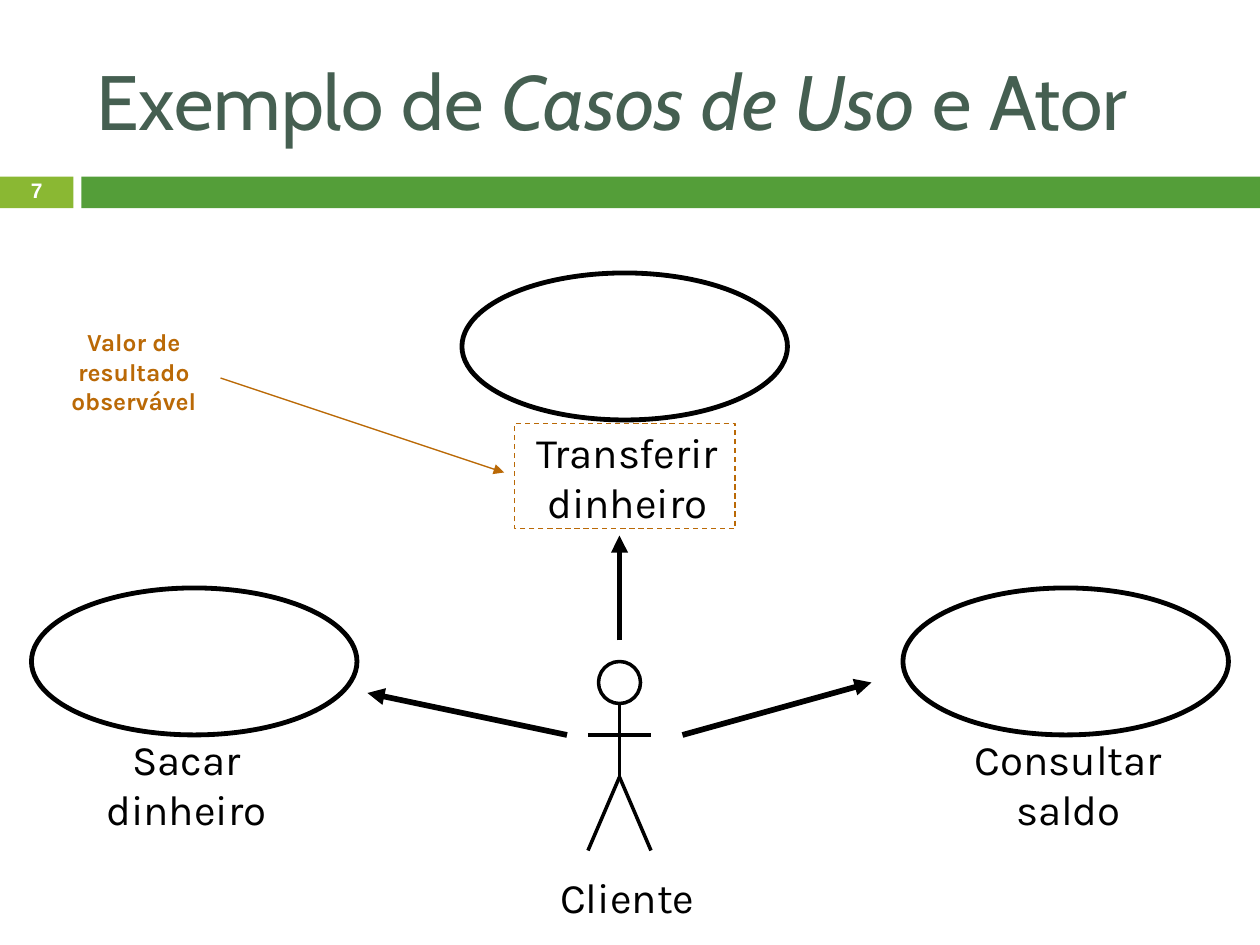
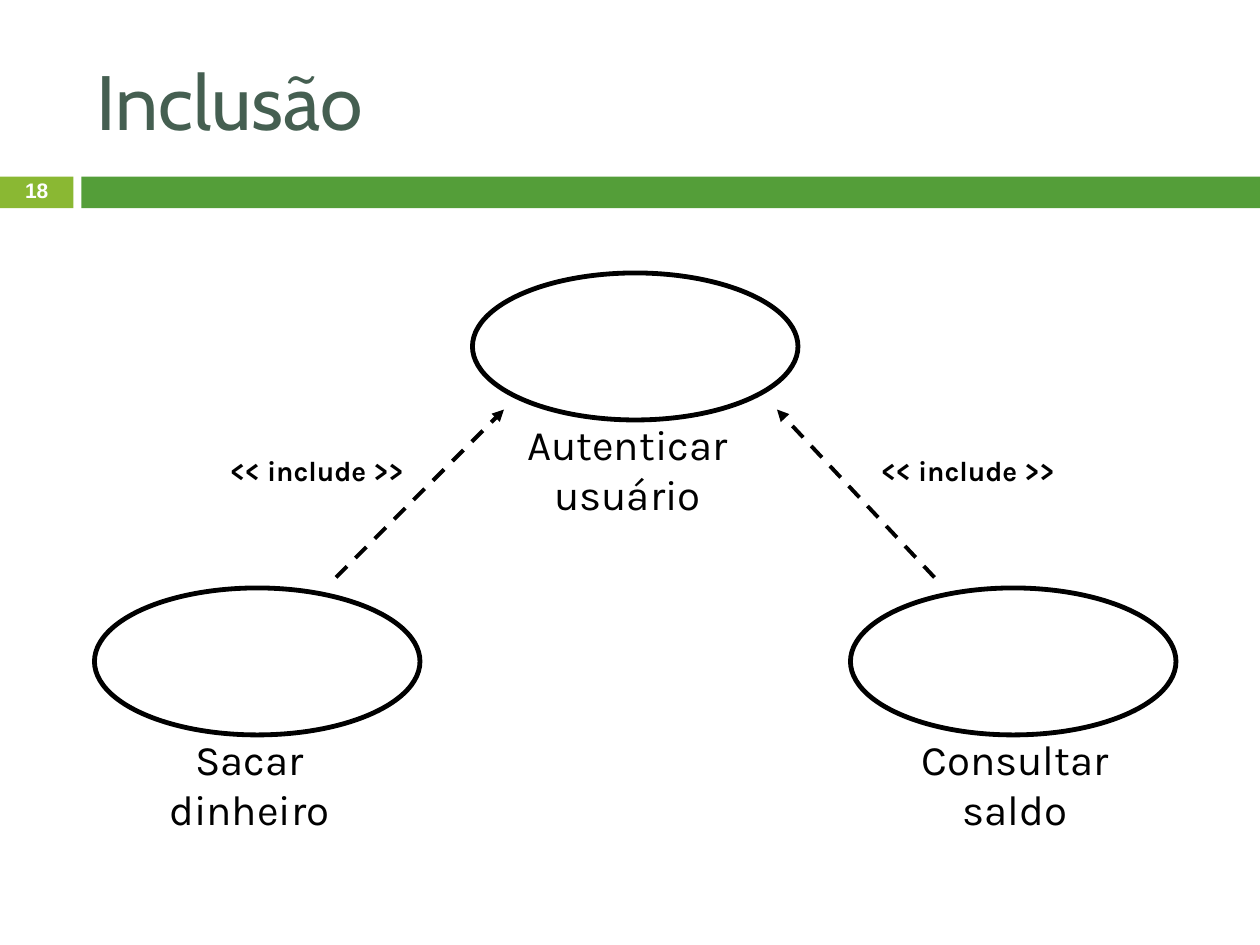
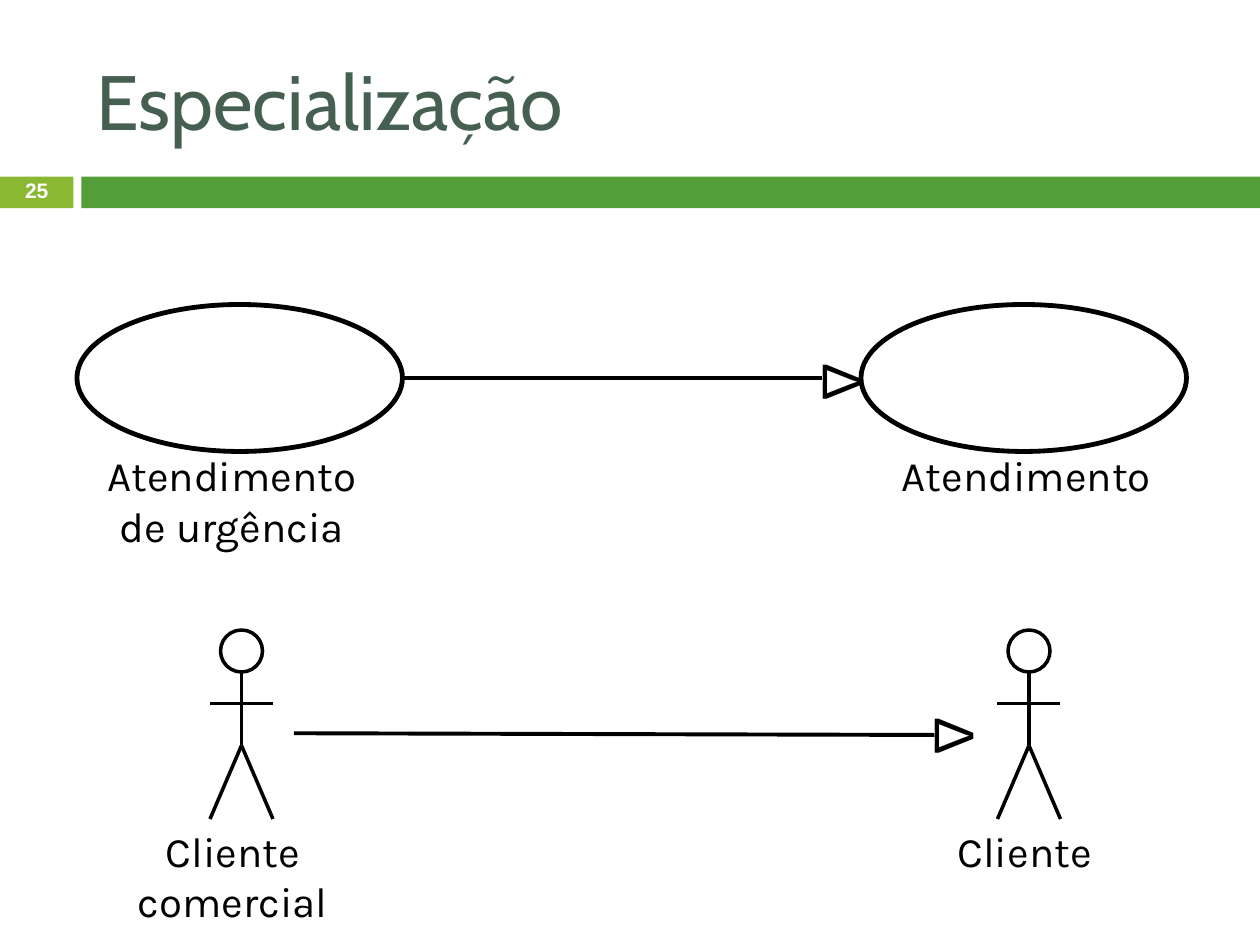
from lxml import etree
from pptx import Presentation
from pptx.dml.color import RGBColor
from pptx.enum.dml import MSO_LINE
from pptx.enum.shapes import MSO_CONNECTOR, MSO_SHAPE
from pptx.enum.text import MSO_ANCHOR, MSO_AUTO_SIZE, PP_ALIGN
from pptx.oxml.ns import qn
from pptx.util import Pt

OVAL, RECTANGLE = MSO_SHAPE.OVAL, MSO_SHAPE.RECTANGLE
STRAIGHT, DASH = MSO_CONNECTOR.STRAIGHT, MSO_LINE.DASH
LEFT, CENTER, MIDDLE = PP_ALIGN.LEFT, PP_ALIGN.CENTER, MSO_ANCHOR.MIDDLE

COLORS = {"ink": "000000", "title": "455F51", "number": "FFFFFF",
          "number_band": "8AB833", "band": "549E39", "note": "BA6906"}
TITLE_FONT, BODY_FONT, SYMBOL_FONT = "Cabin", "Karla", "Arial"

USE_CASE_SIZE = (186, 84)
HEAD = 24
LABEL = {"size": 24}
NOTE = {"size": 14, "color": "note", "bold": True}
STEREOTYPE = {"size": 16, "bold": True}
TRIANGLE = {"size": 32, "font": SYMBOL_FONT, "rotation": 90, "align": LEFT}
ASSOCIATION = {"width": 3.25, "arrow": True}
NOTE_ARROW = {"width": 0.75, "color": "note", "arrow": True}
INCLUDE = {"width": 2.25, "dash": DASH, "arrow": True}
GENERALIZATION = {"width": 2.25}

# use_cases: left, top; actors: centre, top; frames: left, top, width, height
# texts: lines, left, top, width, style; lines: start, end, style
SLIDES = [
    {
        "number": "7",
        "title": [("Exemplo de ", False), ("Casos de Uso", True), (" e Ator", False)],
        "use_cases": [(264, 156), (18, 336), (516, 336)],
        "actors": [(354, 378)],
        "frames": [(294, 242, 126, 60)],
        "texts": [
            ("Cliente", 312.5, 494.5, 92, LABEL),
            ("Transferir\ndinheiro", 296, 240, 125, LABEL),
            ("Sacar\ndinheiro", 52, 415.5, 109, LABEL),
            ("Consultar\nsaldo", 549, 415.5, 123, LABEL),
            ("Valor de\nresultado\nobservável", 31, 183.5, 91, NOTE),
        ],
        "lines": [
            ((354, 366), (354, 306), ASSOCIATION),
            ((324, 420), (210, 396), ASSOCIATION),
            ((390, 420), (498, 390), ASSOCIATION),
            ((126, 216), (288, 270), NOTE_ARROW),
        ],
    },
    {
        "number": "18",
        "title": [("Inclusão", False)],
        "use_cases": [(54, 336), (486, 336), (270, 156)],
        "texts": [
            ("Sacar\ndinheiro", 88, 415.5, 109, LABEL),
            ("Consultar\nsaldo", 518.5, 415.5, 123, LABEL),
            ("Autenticar\nusuário", 293, 235.5, 131, LABEL),
            ("<< include >>", 122.5, 255.5, 117, STEREOTYPE),
            ("<< include >>", 494.5, 255.5, 117, STEREOTYPE),
        ],
        "lines": [
            ((192, 330), (288, 234), INCLUDE),
            ((534, 330), (444, 234), INCLUDE),
        ],
    },
    {
        "number": "25",
        "title": [("Especialização", False)],
        "use_cases": [(492, 174), (44, 174)],
        "actors": [(138, 360), (588, 360)],
        "texts": [
            ("Atendimento", 506, 253.5, 161, LABEL),
            ("Atendimento\nde urgência", 52, 253.5, 161, LABEL),
            ("Δ", 466, 195, 34, TRIANGLE),
            ("Δ", 530, 397, 34, TRIANGLE),
            ("Cliente", 539.5, 468, 92, LABEL),
            ("Cliente\ncomercial", 71, 468, 124, LABEL),
        ],
        "lines": [
            ((230, 216), (470, 216), GENERALIZATION),
            ((168, 419), (534, 420), GENERALIZATION),
        ],
    },
]


def rgb(color):
    return RGBColor.from_string(COLORS[color])


def style_line(line, width, color="ink", dash=None):
    line.width = Pt(width)
    line.color.rgb = rgb(color)
    if dash:
        line.dash_style = dash


def style_run(run, size, font=BODY_FONT, color="ink", bold=False, italic=False):
    run.font.size, run.font.name = Pt(size), font
    run.font.bold, run.font.italic = bold, italic
    run.font.color.rgb = rgb(color)


def add_band(slide, left, width, color):
    band = slide.shapes.add_shape(RECTANGLE, Pt(left), Pt(101), Pt(width), Pt(18))
    band.shadow.inherit = False
    band.fill.solid()
    band.fill.fore_color.rgb = rgb(color)
    band.line.fill.background()


def add_outline(shapes, preset, left, top, width, height, weight, **line_style):
    outline = shapes.add_shape(preset, Pt(left), Pt(top), Pt(width), Pt(height))
    outline.shadow.inherit = False
    outline.fill.background()
    style_line(outline.line, weight, **line_style)


def add_line(shapes, start, end, width, arrow=False, **line_style):
    connector = shapes.add_connector(STRAIGHT, *(Pt(v) for v in (*start, *end)))
    style_line(connector.line, width, **line_style)
    properties = connector._element.spPr
    if arrow:
        etree.SubElement(properties.find(qn("a:ln")), qn("a:tailEnd"), type="triangle")
    etree.SubElement(properties, qn("a:effectLst"))


def add_actor(slide, center, top):
    """Draw a stick figure hanging from its head's top centre."""
    figure = slide.shapes.add_group_shape().shapes
    add_outline(figure, OVAL, center - HEAD / 2, top, HEAD, HEAD, 2)
    hip, arms, feet, reach = top + 66, top + 42, top + 108, 18
    for start, end in [
        ((center, hip), (center, top + HEAD)),
        ((center - reach, feet), (center, hip)),
        ((center + reach, feet), (center, hip)),
        ((center - reach, arms), (center + reach, arms)),
    ]:
        add_line(figure, start, end, 2)


def add_text(slide, text, left, top, width, size, align=CENTER, rotation=0, **run_style):
    """Add an unwrapped label whose height follows from its line count."""
    height = 7.2 + 1.2 * size * len(text.split("\n"))
    label = slide.shapes.add_textbox(Pt(left), Pt(top), Pt(width), Pt(height))
    label.rotation = rotation
    frame = label.text_frame
    frame.word_wrap = False
    frame.auto_size = MSO_AUTO_SIZE.SHAPE_TO_FIT_TEXT
    frame.text = text
    for paragraph in frame.paragraphs:
        paragraph.alignment = align
        style_run(paragraph.runs[0], size, **run_style)


def add_header(slide, number, title):
    add_band(slide, 0, 42, "number_band")
    add_band(slide, 46.5, 673.5, "band")

    page = slide.shapes.add_textbox(Pt(0), Pt(100), Pt(42), Pt(19.5)).text_frame
    page.word_wrap = True
    page.vertical_anchor = MIDDLE
    page.text = number
    page.paragraphs[0].alignment = CENTER
    page.paragraphs[0].line_spacing = 0.8
    style_run(page.paragraphs[0].runs[0], 12, SYMBOL_FONT, "number", bold=True)

    heading = slide.shapes.add_textbox(Pt(48), Pt(18), Pt(642), Pt(78)).text_frame
    heading.word_wrap = True
    heading.vertical_anchor = MIDDLE
    for words, italic in title:
        run = heading.paragraphs[0].add_run()
        run.text = words
        style_run(run, 44, TITLE_FONT, "title", italic=italic)


def main():
    presentation = Presentation()
    presentation.slide_width, presentation.slide_height = Pt(720), Pt(540)
    blank = presentation.slide_layouts[6]
    for content in SLIDES:
        slide = presentation.slides.add_slide(blank)
        add_header(slide, content["number"], content["title"])
        for left, top in content["use_cases"]:
            add_outline(slide.shapes, OVAL, left, top, *USE_CASE_SIZE, 2.75)
        for center, top in content.get("actors", []):
            add_actor(slide, center, top)
        for box in content.get("frames", []):
            add_outline(slide.shapes, RECTANGLE, *box, 0.75, color="note", dash=DASH)
        for *placed_text, style in content["texts"]:
            add_text(slide, *placed_text, **style)
        for start, end, style in content["lines"]:
            add_line(slide.shapes, start, end, **style)
    presentation.save("out.pptx")


if __name__ == "__main__":
    main()
